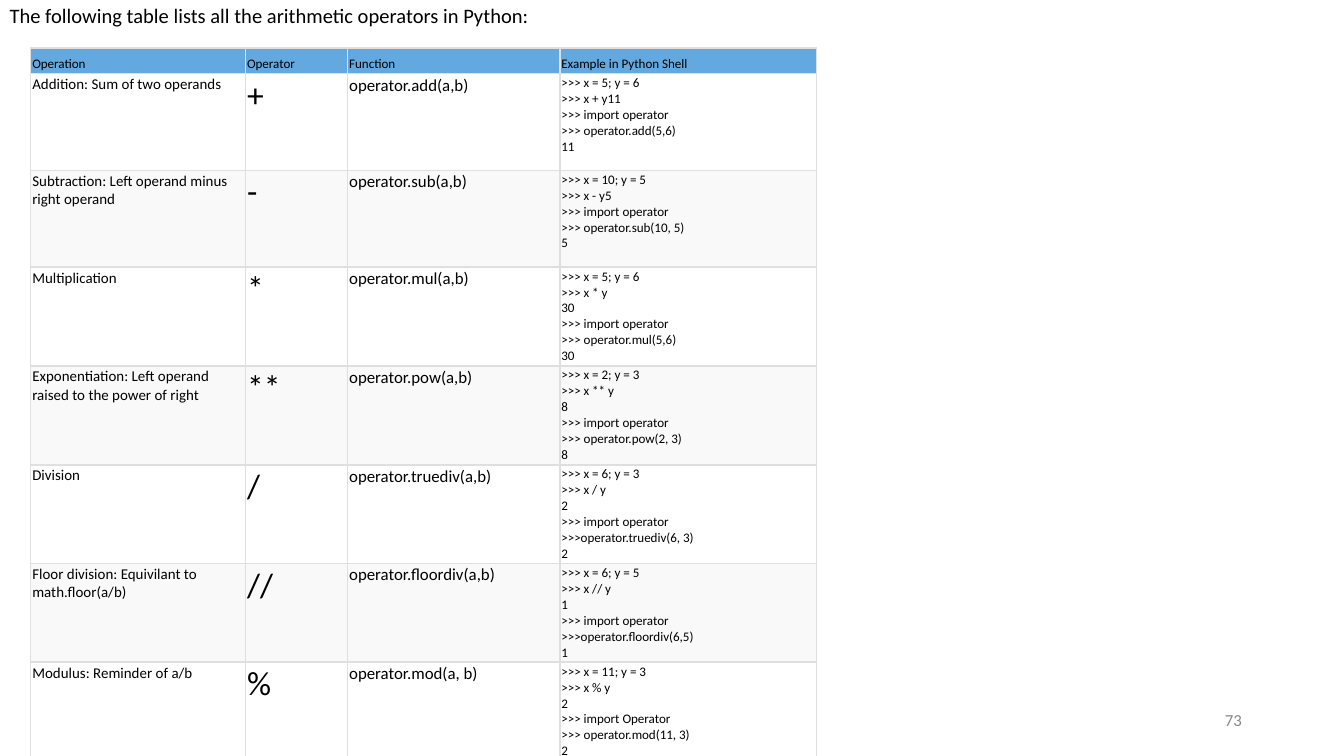
from dataclasses import dataclass

from lxml import etree
from pptx import Presentation
from pptx import util as u
from pptx.dml.color import RGBColor
from pptx.enum import text
from pptx.oxml import ns
from pptx.slide import Slide
from pptx.table import _Cell
from pptx.text.text import TextFrame


@dataclass(frozen=True)
class Theme:
    font: str = "Calibri"
    ink: str = "000000"
    muted: str = "888888"
    header_fill: str = "63A9E0"
    row_fills: tuple[str, str] = ("FFFFFF", "F9F9F9")
    border: str = "DFDFDF"
    header_rule: str = "DEE2E6"
    border_width: float = 1
    heading_size: float = 11
    header_size: float = 7
    column_sizes: tuple[float, ...] = (8, 18, 9, 7)
    number_size: float = 9


@dataclass(frozen=True)
class Operation:
    name: str
    symbol: str
    function: str
    example: str


THEME = Theme()
HEADERS = ("Operation", "Operator", "Function", "Example in Python Shell")
COLUMN_WIDTHS = (4.06, 1.93, 4.01, 4.85)
HEADER_HEIGHT = 0.48
ROW_HEIGHT = 1.83

OPERATIONS = (
    Operation("Addition: Sum of two operands", "+", "operator.add(a,b)",
              ">>> x = 5; y = 6\n>>> x + y11\n>>> import operator\n>>> operator.add(5,6)\n11"),
    Operation("Subtraction: Left operand minus right operand", "-", "operator.sub(a,b)",
              ">>> x = 10; y = 5\n>>> x - y5\n>>> import operator\n>>> operator.sub(10, 5)\n5"),
    Operation("Multiplication", "*", "operator.mul(a,b)",
              ">>> x = 5; y = 6\n>>> x * y\n30\n>>> import operator\n>>> operator.mul(5,6)\n30"),
    Operation("Exponentiation: Left operand raised to the power of right", "**", "operator.pow(a,b)",
              ">>> x = 2; y = 3\n>>> x ** y\n8\n>>> import operator\n>>> operator.pow(2, 3)\n8"),
    Operation("Division", "/", "operator.truediv(a,b)",
              ">>> x = 6; y = 3\n>>> x / y\n2\n>>> import operator\n>>>operator.truediv(6, 3)\n2"),
    Operation("Floor division: Equivilant to math.floor(a/b)", "//", "operator.floordiv(a,b)",
              ">>> x = 6; y = 5\n>>> x // y\n1\n>>> import operator\n>>>operator.floordiv(6,5)\n1"),
    Operation("Modulus: Reminder of a/b", "%", "operator.mod(a, b)",
              ">>> x = 11; y = 3\n>>> x % y\n2\n>>> import Operator\n>>> operator.mod(11, 3)\n2"),
)


def write_text(frame: TextFrame, content: str, *, size: float, color: str = THEME.ink,
               align: text.PP_ALIGN = text.PP_ALIGN.LEFT, line_spacing: float = 1.0) -> None:
    """Write each line of content as a paragraph of its own."""
    for index, line in enumerate(content.split("\n")):
        para = frame.paragraphs[0] if index == 0 else frame.add_paragraph()
        para.alignment = align
        para.line_spacing = line_spacing
        para.space_before = u.Pt(0)
        span = para.add_run()
        span.text = line
        span.font.name = THEME.font
        span.font.size = u.Pt(size)
        span.font.bold = False
        span.font.color.rgb = RGBColor.from_string(color)


def set_up_frame(frame: TextFrame, anchor: text.MSO_ANCHOR) -> None:
    frame.word_wrap = True
    frame.auto_size = text.MSO_AUTO_SIZE.NONE
    frame.vertical_anchor = anchor
    frame.margin_left = frame.margin_right = u.Cm(0.18)
    frame.margin_top = frame.margin_bottom = u.Cm(0.1)


def add_borders(cell: _Cell, *, top: str, bottom: str) -> None:
    properties = cell._tc.get_or_add_tcPr()
    colors = {"a:lnL": THEME.border, "a:lnR": THEME.border, "a:lnT": top, "a:lnB": bottom}
    for tag, color in colors.items():
        line = etree.SubElement(properties, ns.qn(tag), w=str(u.Pt(THEME.border_width)))
        fill = etree.SubElement(line, ns.qn("a:solidFill"))
        etree.SubElement(fill, ns.qn("a:srgbClr"), val=color)


def fill_cell(cell: _Cell, content: str, *, size: float, fill: str, top: str = THEME.border,
              bottom: str = THEME.border, anchor: text.MSO_ANCHOR = text.MSO_ANCHOR.TOP) -> None:
    cell.margin_left = cell.margin_right = cell.margin_top = cell.margin_bottom = u.Cm(0.03)
    cell.vertical_anchor = anchor
    add_borders(cell, top=top, bottom=bottom)
    cell.fill.solid()
    cell.fill.fore_color.rgb = RGBColor.from_string(fill)
    write_text(cell.text_frame, content, size=size)


def add_heading(page: Slide, content: str) -> None:
    heading = page.shapes.title
    heading.left, heading.top = u.Cm(0), u.Cm(0)
    heading.width, heading.height = u.Cm(25.4), u.Cm(14.29)
    set_up_frame(heading.text_frame, text.MSO_ANCHOR.TOP)
    write_text(heading.text_frame, content, size=THEME.heading_size, line_spacing=0.9)


def add_operator_table(page: Slide) -> None:
    height = HEADER_HEIGHT + ROW_HEIGHT * len(OPERATIONS)
    table = page.shapes.add_table(len(OPERATIONS) + 1, len(HEADERS), u.Cm(0.58), u.Cm(0.91),
                                  u.Cm(sum(COLUMN_WIDTHS)), u.Cm(height)).table
    table.horz_banding = False
    for column, width in zip(table.columns, COLUMN_WIDTHS):
        column.width = u.Cm(width)

    table.rows[0].height = u.Cm(HEADER_HEIGHT)
    for cell, header in zip(table.rows[0].cells, HEADERS):
        fill_cell(cell, header, size=THEME.header_size, fill=THEME.header_fill,
                  bottom=THEME.header_rule, anchor=text.MSO_ANCHOR.BOTTOM)

    for index, operation in enumerate(OPERATIONS):
        row = table.rows[index + 1]
        row.height = u.Cm(ROW_HEIGHT)
        contents = (operation.name, operation.symbol, operation.function, operation.example)
        for cell, content, size in zip(row.cells, contents, THEME.column_sizes):
            fill_cell(cell, content, size=size, fill=THEME.row_fills[index % 2],
                      top=THEME.header_rule if index == 0 else THEME.border)


def add_page_number(page: Slide, number: int) -> None:
    box = page.shapes.add_textbox(u.Cm(17.93), u.Cm(13.23), u.Cm(5.72), u.Cm(0.76))
    set_up_frame(box.text_frame, text.MSO_ANCHOR.MIDDLE)
    write_text(box.text_frame, str(number), size=THEME.number_size, color=THEME.muted,
               align=text.PP_ALIGN.RIGHT)


def main() -> None:
    deck = Presentation()
    deck.slide_width, deck.slide_height = u.Cm(25.4), u.Cm(14.29)
    page = deck.slides.add_slide(deck.slide_layouts.get_by_name("Title Only"))
    add_heading(page, "The following table lists all the arithmetic operators in Python:")
    add_operator_table(page)
    add_page_number(page, 73)
    deck.save("out.pptx")


if __name__ == "__main__":
    main()
